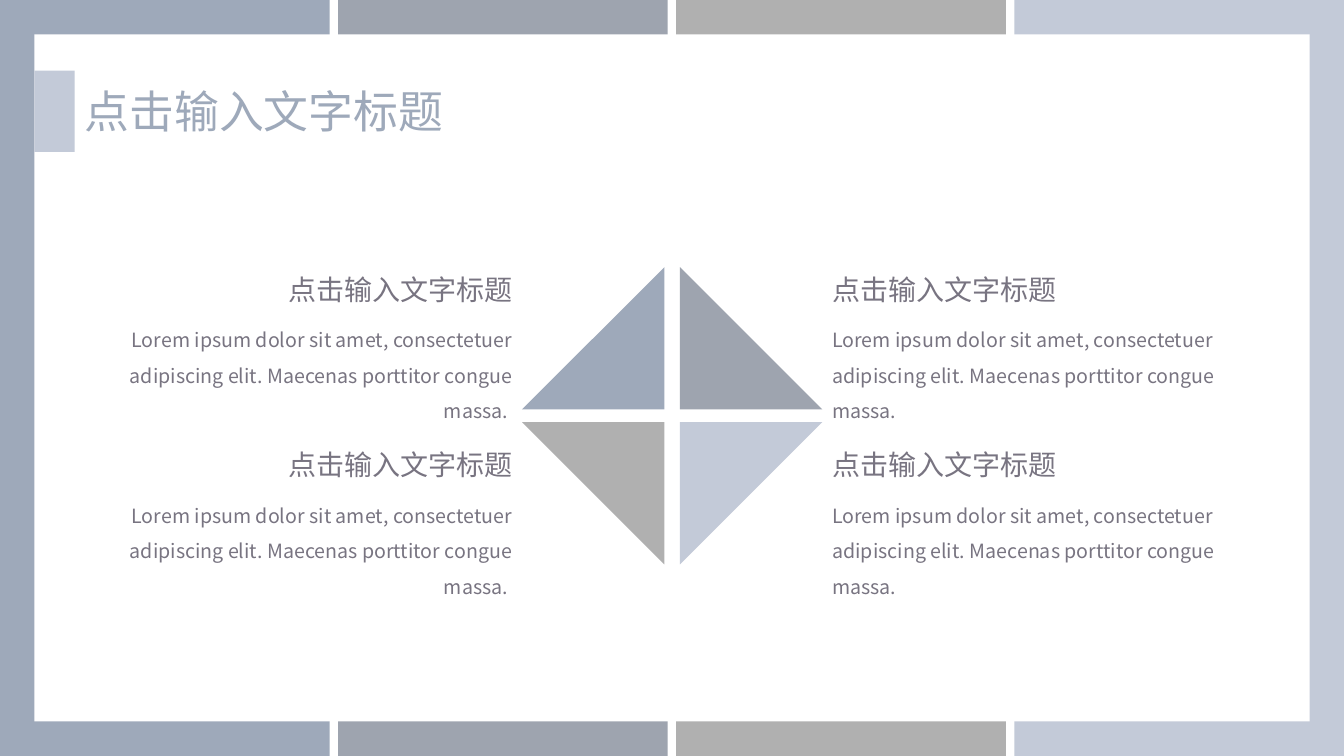
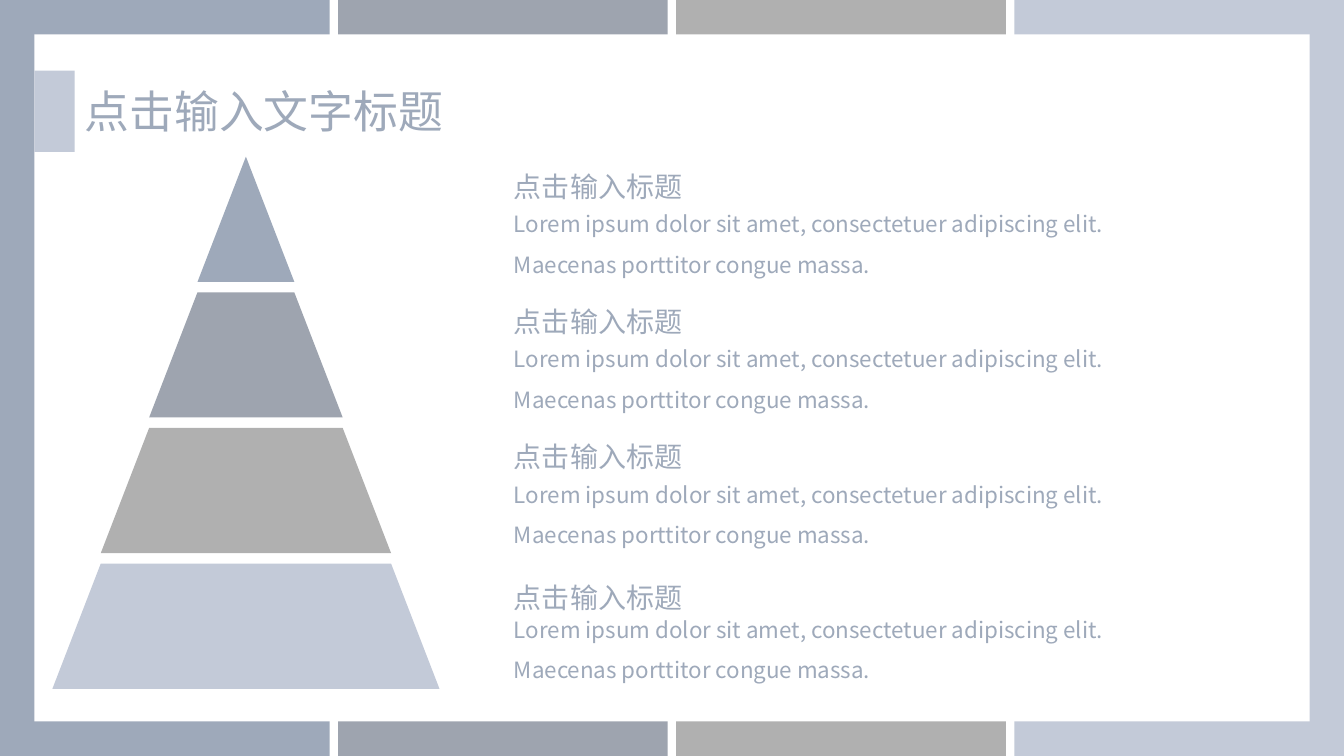
from lxml.etree import SubElement
from pptx import Presentation
from pptx.dml.color import RGBColor
from pptx.enum.shapes import MSO_SHAPE
from pptx.enum.text import MSO_ANCHOR, MSO_AUTO_SIZE, PP_ALIGN
from pptx.oxml.ns import qn
from pptx.util import Inches, Pt

COLORS = {
    "blue": "9EA9BA",
    "slate": "9EA4AF",
    "gray": "B0B0B0",
    "pale": "C3CAD8",
    "white": "FFFFFF",
    "text": "787481",
}
SERIES = ["blue", "slate", "gray", "pale"]
FONT = "Noto Sans CJK SC"
COLUMNS, ROWS = 160, 90

TITLE = "点击输入文字标题"
TIER_TITLE = "点击输入标题"
LOREM = ("Lorem ipsum dolor sit amet, consectetuer adipiscing elit. "
         "Maecenas porttitor congue massa.")


class Deck:
    """Holds the style and the current slide; lengths are grid columns and rows."""

    def __init__(self):
        self.presentation = Presentation()
        self.presentation.slide_width = Inches(13.33)
        self.presentation.slide_height = Inches(7.5)
        self.slide = None

    def x(self, columns):
        return round(self.presentation.slide_width * columns / COLUMNS)

    def y(self, rows):
        return round(self.presentation.slide_height * rows / ROWS)

    def box(self, left, top, width, height):
        return self.x(left), self.y(top), self.x(width), self.y(height)

    def paint(self, shape, color):
        shape.shadow.inherit = False
        shape.fill.solid()
        shape.fill.fore_color.rgb = RGBColor.from_string(COLORS[color])
        shape.line.fill.background()

    def shape(self, kind, box, color, rotation=0):
        shape = self.slide.shapes.add_shape(kind, *self.box(*box))
        shape.rotation = rotation
        self.paint(shape, color)

    def polygon(self, points, color):
        start, *others = [(self.x(column), self.y(row)) for column, row in points]
        builder = self.slide.shapes.build_freeform(*start)
        builder.add_line_segments(others, close=True)
        self.paint(builder.convert_to_shape(), color)

    def text(self, text, box, size, color, align=PP_ALIGN.LEFT,
             anchor=MSO_ANCHOR.TOP, spacing=1.0):
        frame = self.slide.shapes.add_textbox(*self.box(*box)).text_frame
        frame.word_wrap = True
        frame.auto_size = MSO_AUTO_SIZE.SHAPE_TO_FIT_TEXT
        frame.vertical_anchor = anchor
        paragraph = frame.paragraphs[0]
        paragraph.text = text
        paragraph.alignment = align
        paragraph.line_spacing = spacing
        font = paragraph.font
        font.size = Pt(size)
        font.color.rgb = RGBColor.from_string(COLORS[color])
        font.name = FONT
        # The East Asian typeface has no public setter
        properties = paragraph._p.pPr.find(qn("a:defRPr"))
        SubElement(properties, qn("a:ea")).set("typeface", FONT)

    def add_slide(self, title):
        layout = self.presentation.slide_layouts[6]
        self.slide = self.presentation.slides.add_slide(layout)
        # Four vertical bands framed by a white panel
        gap = 1
        width = (COLUMNS - gap * (len(SERIES) - 1)) / len(SERIES)
        for index, color in enumerate(SERIES):
            left = index * (width + gap)
            self.shape(MSO_SHAPE.RECTANGLE, (left, 0, width, ROWS), color)
        margin = 4.1
        panel = (margin, margin, COLUMNS - 2 * margin, ROWS - 2 * margin)
        self.shape(MSO_SHAPE.RECTANGLE, panel, "white")
        # Title with its tab
        self.shape(MSO_SHAPE.RECTANGLE, (margin, 8.4, 4.8, 9.7), "pale")
        self.text(title, (8.9, 9.4, 55.1, 7.7), 32, "blue")


def build_diamond(deck):
    deck.add_slide(TITLE)
    # Four triangles: left, top, rotation, colour
    left, right, upper, lower = 62.15, 80.95, 31.8, 50.25
    for column, row, rotation, color in [
        (left, upper, 270, "blue"),
        (right, upper, 0, "slate"),
        (left, lower, 180, "gray"),
        (right, lower, 90, "pale"),
    ]:
        deck.shape(MSO_SHAPE.RIGHT_TRIANGLE, (column, row, 16.95, 16.95),
                   color, rotation)
    # Captions on both sides
    for column, align, body in [(7.1, PP_ALIGN.RIGHT, LOREM + " "),
                                (97.9, PP_ALIGN.LEFT, LOREM)]:
        for row in (upper, upper + 20.9):
            deck.text(TITLE, (column, row, 55.1, 5.3), 20, "text", align)
            deck.text(body, (column, row + 5.3, 55.1, 9.1), 14, "text", align,
                      spacing=1.5)


def build_pyramid(deck):
    deck.add_slide(TITLE)
    center, top, height, pitch, step = 29.28, 18.65, 14.9, 16.15, 5.76
    heading_rows = [19.55, 35.55, 51.7, 68.4]
    for index, (color, heading_row) in enumerate(zip(SERIES, heading_rows)):
        # Tier: its top edge is as wide as the bottom of the tier above
        upper = top + index * pitch
        lower = upper + height
        narrow, wide = index * step, (index + 1) * step
        points = [(center - narrow, upper), (center + narrow, upper),
                  (center + wide, lower), (center - wide, lower)]
        deck.polygon(points if narrow else points[1:], color)
        # Description beside the tier
        deck.text(LOREM, (60, 23.1 + index * 16.1, 75, 10.3), 16, "blue",
                  anchor=MSO_ANCHOR.MIDDLE, spacing=1.5)
        deck.text(TIER_TITLE, (60, heading_row, 34, 5.3), 20, "blue",
                  anchor=MSO_ANCHOR.MIDDLE)


def main():
    deck = Deck()
    build_diamond(deck)
    build_pyramid(deck)
    deck.presentation.save("out.pptx")


if __name__ == "__main__":
    main()
